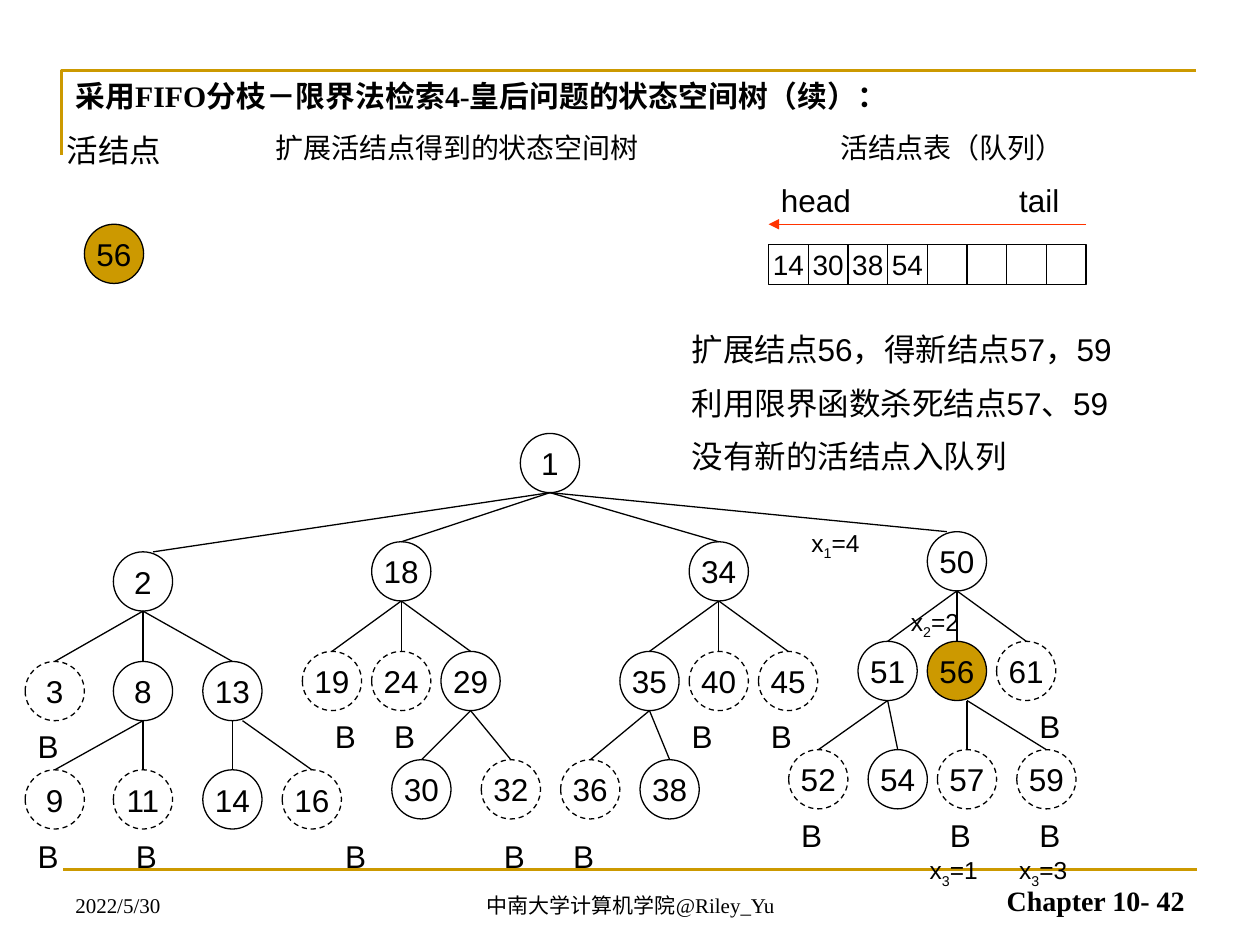
from dataclasses import dataclass

from pptx import Presentation
from pptx.dml.color import RGBColor
from pptx.enum.dml import MSO_LINE
from pptx.enum.shapes import MSO_CONNECTOR, MSO_SHAPE
from pptx.enum.text import MSO_ANCHOR, PP_ALIGN
from pptx.oxml.ns import qn
from pptx.util import Inches, Pt
from lxml import etree

OVAL, RECT = MSO_SHAPE.OVAL, MSO_SHAPE.RECTANGLE
STRAIGHT, DASH = MSO_CONNECTOR.STRAIGHT, MSO_LINE.DASH
LEFT, CENTER, RIGHT = PP_ALIGN.LEFT, PP_ALIGN.CENTER, PP_ALIGN.RIGHT
TOP, MIDDLE, BOTTOM = MSO_ANCHOR.TOP, MSO_ANCHOR.MIDDLE, MSO_ANCHOR.BOTTOM
BLACK = RGBColor(0x00, 0x00, 0x00)
GOLD = RGBColor(0xCC, 0x99, 0x00)
RED = RGBColor(0xFF, 0x33, 0x00)
SANS, SERIF = "Arial", "Times New Roman"
NODE_SIZE = 0.47
CELL_WIDTH, CELL_HEIGHT = 0.315, 0.32


@dataclass
class Node:
    label: str
    left: float
    top: float
    parent: str = ""
    dead: bool = False
    current: bool = False
    start_shift: float = 0  # sideways shift of the edge at the parent
    end_shift: float = 0  # and at this node


@dataclass
class Label:
    text: str
    left: float
    top: float
    width: float
    height: float
    size: float = 18
    font: str = SANS
    bold: bool = False
    align: PP_ALIGN = LEFT
    anchor: MSO_ANCHOR = TOP


@dataclass
class Choice:
    index: str
    value: str
    left: float
    top: float


NODES = [
    Node("1", 4.13, 3.44),
    Node("2", 0.9, 4.38, "1", end_shift=0.08),
    Node("18", 2.95, 4.3, "1"),
    Node("34", 5.47, 4.3, "1"),
    Node("50", 7.36, 4.22, "1", end_shift=-0.08),
    Node("3", 0.2, 5.25, "2", dead=True),
    Node("8", 0.9, 5.25, "2"),
    Node("13", 1.61, 5.25, "2"),
    Node("19", 2.4, 5.17, "18", dead=True),
    Node("24", 2.95, 5.17, "18", dead=True),
    Node("29", 3.5, 5.17, "18"),
    Node("35", 4.92, 5.17, "34"),
    Node("40", 5.47, 5.17, "34", dead=True),
    Node("45", 6.02, 5.17, "34", dead=True),
    Node("51", 6.81, 5.09, "50"),
    Node("56", 7.36, 5.09, "50", current=True),
    Node("61", 7.91, 5.09, "50", dead=True),
    Node("9", 0.2, 6.11, "8", dead=True),
    Node("11", 0.9, 6.11, "8", dead=True),
    Node("14", 1.61, 6.11, "13"),
    Node("16", 2.24, 6.11, "13", dead=True, start_shift=0.08),
    Node("30", 3.11, 6.03, "29"),
    Node("32", 3.82, 6.03, "29", dead=True),
    Node("36", 4.45, 6.03, "35", dead=True),
    Node("38", 5.08, 6.03, "35"),
    Node("52", 6.26, 5.95, "51", dead=True),
    Node("54", 6.89, 5.95, "51"),
    Node("57", 7.44, 5.95, "56", dead=True, start_shift=0.08),
    Node("59", 8.07, 5.95, "56", dead=True, start_shift=0.08),
]
# Left edges of the B marks, by top edge
BOUND_MARKS = {
    5.56: [8.15],
    5.64: [2.56, 3.03, 5.39, 6.02],
    5.72: [0.2],
    6.43: [6.26, 7.44, 8.15],
    6.59: [0.2, 0.98, 2.64, 3.9, 4.45],
}
LABELS = [
    Label("活结点", 0.43, 0.99, 1.1, 0.4),
    Label("扩展活结点得到的状态空间树", 2.09, 0.99, 3.15, 0.37, 16),
    Label("活结点表（队列）", 6.57, 0.99, 2.2, 0.37, 16),
    Label("head", 6.1, 1.39, 0.94, 0.4),
    Label("tail", 7.99, 1.39, 0.94, 0.4),
    Label("扩展结点56，得新结点57，59\n利用限界函数杀死结点57、59\n没有新的活结点入队列",
          5.39, 2.57, 4.41, 1.3),
    Label("2022/5/30", 0.5, 6.83, 2.33, 0.5, 12, SERIF, anchor=BOTTOM),
    Label("中南大学计算机学院@Riley_Yu", 3.42, 6.83, 3.17, 0.5, 12, SERIF,
          align=CENTER, anchor=BOTTOM),
    Label("Chapter 10- 42", 7.17, 6.83, 2.33, 0.5, 16, SERIF, True, RIGHT, BOTTOM),
]
CHOICES = [
    Choice("1", "=4", 6.34, 4.14),
    Choice("2", "=2", 7.13, 4.77),
    Choice("3", "=1", 7.28, 6.74),
    Choice("3", "=3", 7.99, 6.74),
]
QUEUE = ["14", "30", "38", "54", "", "", "", ""]


def add_span(para, text: str, size: float, font: str = SANS, bold: bool = False):
    span = para.add_run()
    span.text = text
    span.font.size = Pt(size)
    span.font.name = font
    span.font.bold = bold
    span.font.color.rgb = BLACK
    return span


def add_line(page, x1: float, y1: float, x2: float, y2: float,
             color: RGBColor = BLACK, weight: float = 0.75):
    line = page.shapes.add_connector(
        STRAIGHT, Inches(x1), Inches(y1), Inches(x2), Inches(y2))
    line.line.color.rgb = color
    line.line.width = Pt(weight)
    etree.SubElement(line._element.spPr, qn("a:effectLst"))
    return line


def add_box(page, kind: MSO_SHAPE, left: float, top: float, width: float,
            height: float, text: str, size: float):
    box = page.shapes.add_shape(
        kind, Inches(left), Inches(top), Inches(width), Inches(height))
    box.shadow.inherit = False
    box.fill.background()
    box.line.color.rgb = BLACK
    box.line.width = Pt(0.75)
    frame = box.text_frame
    frame.word_wrap = False
    frame.vertical_anchor = MIDDLE
    if text:
        frame.paragraphs[0].alignment = CENTER
        add_span(frame.paragraphs[0], text, size)
    return box


def add_node(page, node: Node) -> None:
    circle = add_box(page, OVAL, node.left, node.top, NODE_SIZE, NODE_SIZE, node.label, 18)
    if node.current:
        circle.fill.solid()
        circle.fill.fore_color.rgb = GOLD
    if node.dead:
        circle.line.dash_style = DASH


def add_edge(page, parent: Node, child: Node) -> None:
    middle = NODE_SIZE / 2
    add_line(page, parent.left + middle + child.start_shift, parent.top + NODE_SIZE,
             child.left + middle + child.end_shift, child.top)


def add_text_frame(page, left: float, top: float, width: float, height: float):
    box = page.shapes.add_textbox(Inches(left), Inches(top), Inches(width), Inches(height))
    box.text_frame.word_wrap = True
    return box.text_frame


def add_label(page, label: Label) -> None:
    frame = add_text_frame(page, label.left, label.top, label.width, label.height)
    frame.vertical_anchor = label.anchor
    for number, text in enumerate(label.text.split("\n")):
        para = frame.add_paragraph() if number else frame.paragraphs[0]
        para.alignment = label.align
        para.space_before = Pt(label.size / 2 if number else 0)
        add_span(para, text, label.size, label.font, label.bold)


def add_choice(page, choice: Choice) -> None:
    para = add_text_frame(page, choice.left, choice.top, 0.79, 0.33).paragraphs[0]
    add_span(para, "x", 14)
    index = add_span(para, choice.index, 14)
    index.font._element.set("baseline", "-25000")
    add_span(para, choice.value, 14)


def add_title(page, text: str) -> None:
    title = page.shapes.title
    title.left, title.top = Inches(0.5), Inches(0.57)
    title.width, title.height = Inches(9.3), Inches(0.61)
    title.text_frame.vertical_anchor = TOP
    title.text_frame.word_wrap = True
    para = title.text_frame.paragraphs[0]
    para.alignment = LEFT
    add_span(para, text, 17, SERIF, True)


def add_frame_lines(page) -> None:
    builder = page.shapes.build_freeform(Inches(0.49), Inches(1.23), scale=1.0)
    builder.add_line_segments(
        [(Inches(0.49), Inches(0.56)), (Inches(9.49), Inches(0.56))], close=False)
    corner = builder.convert_to_shape()
    corner.shadow.inherit = False
    corner.fill.background()
    corner.line.color.rgb = GOLD
    corner.line.width = Pt(1.5)
    add_line(page, 0.5, 6.9, 9.5, 6.9, GOLD, 1.5)


def add_queue(page, left: float, top: float) -> None:
    for column, text in enumerate(QUEUE):
        add_box(page, RECT, left + column * CELL_WIDTH, top, CELL_WIDTH, CELL_HEIGHT, text, 16)
    arrow = add_line(page, left + len(QUEUE) * CELL_WIDTH, 1.78, left, 1.78, RED)
    etree.SubElement(arrow.line._get_or_add_ln(), qn("a:tailEnd"), type="triangle")


def main() -> None:
    deck = Presentation()
    deck.slide_width, deck.slide_height = Inches(10), Inches(7.5)
    page = deck.slides.add_slide(deck.slide_layouts[5])

    # Heading and frame
    add_title(page, "采用FIFO分枝－限界法检索4-皇后问题的状态空间树（续）：")
    add_frame_lines(page)

    # Node being expanded and queue of live nodes
    add_node(page, Node("56", 0.67, 1.78, current=True))
    add_queue(page, 6.1, 1.94)

    # State space tree
    by_label = {node.label: node for node in NODES}
    for node in NODES:
        add_node(page, node)
        if node.parent:
            add_edge(page, by_label[node.parent], node)

    # Captions, bound marks and choices
    marks = [Label("B", left, top, 0.71, 0.4)
             for top, lefts in BOUND_MARKS.items() for left in lefts]
    for label in LABELS + marks:
        add_label(page, label)
    for choice in CHOICES:
        add_choice(page, choice)

    deck.save("out.pptx")


if __name__ == "__main__":
    main()
